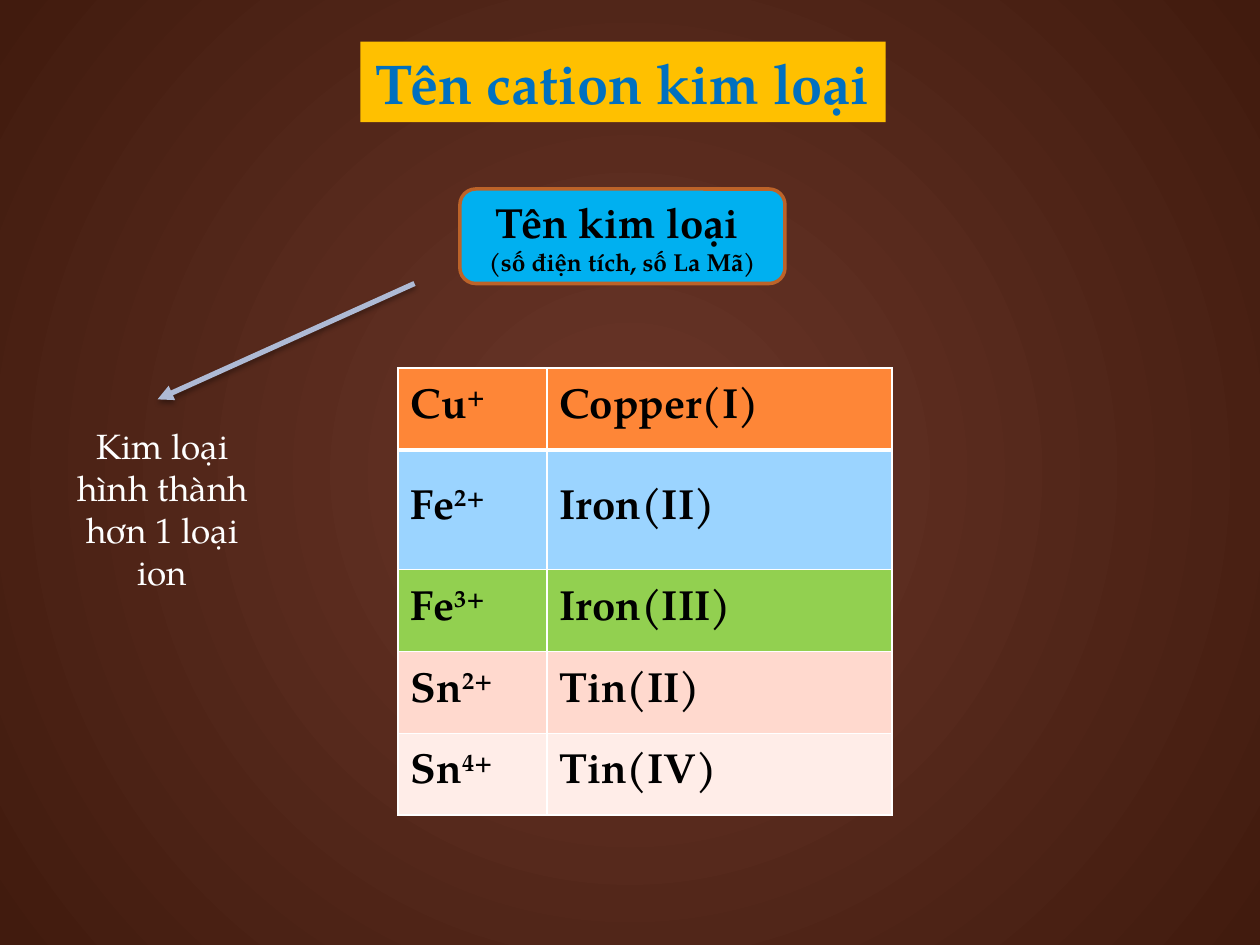
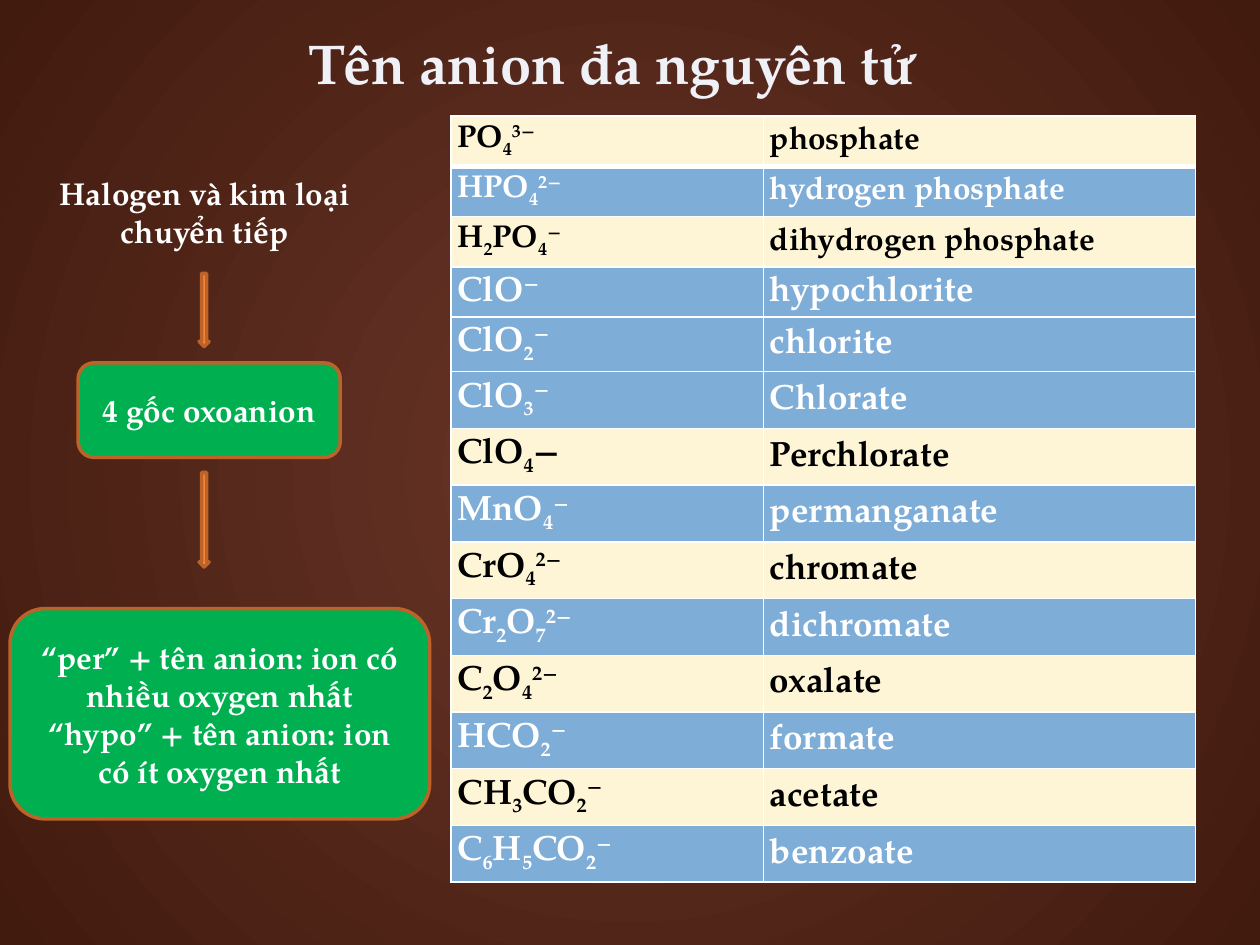
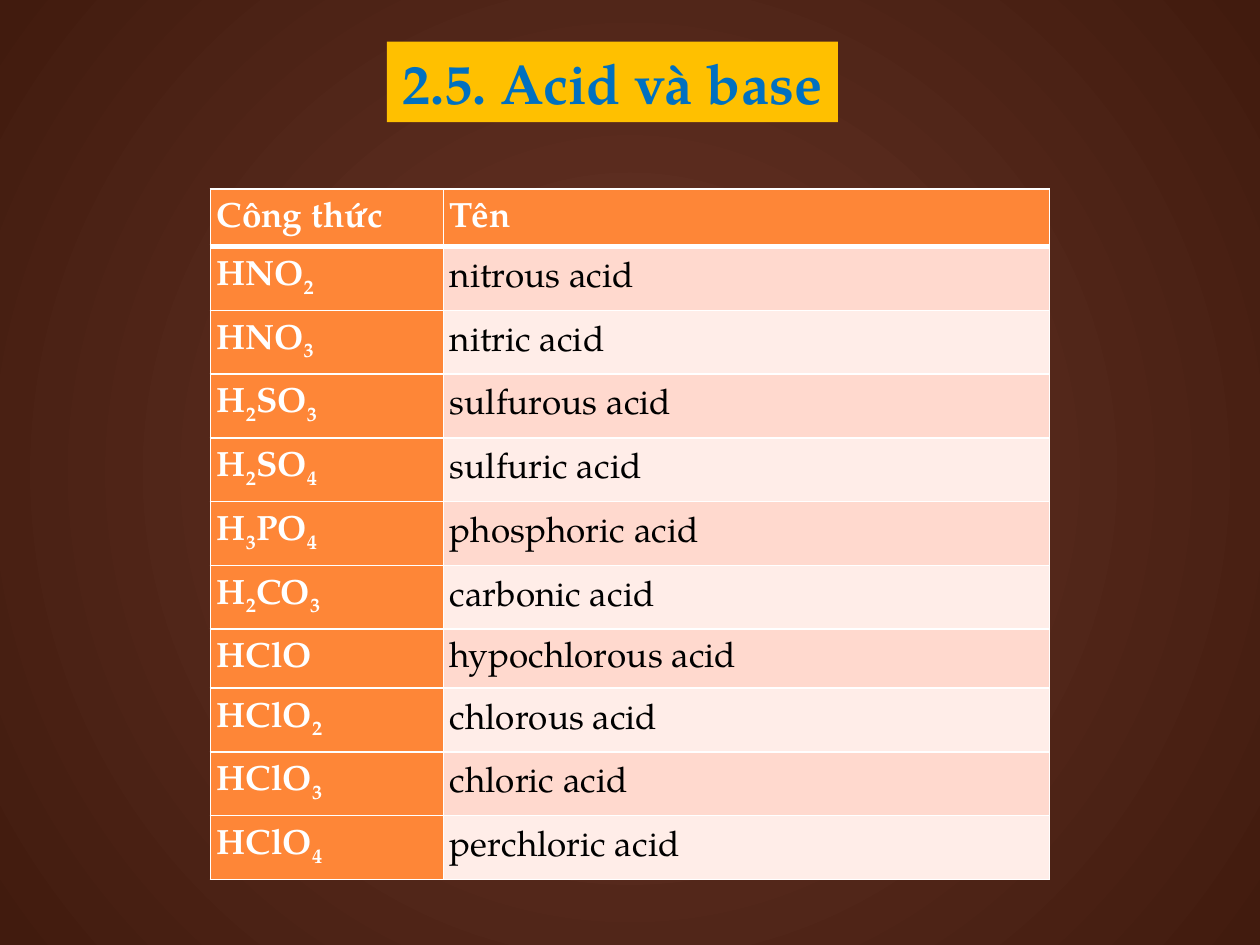
from lxml import etree
from pptx import Presentation
from pptx.dml.color import RGBColor
from pptx.enum import shapes, text
from pptx.oxml.ns import qn
from pptx.util import Inches, Pt

FACE = "TeX Gyre Pagella"
WHITE, BLACK = "FFFFFF", "000000"
GOLD, BLUE, SKY, GREEN = "FFC000", "0070C0", "00B0F0", "00B050"
ORANGE, RUST, PINK, BLUSH = "FE8637", "BC6329", "FFD9CE", "FFEDE8"
CREAM, STEEL, MIST = "FDF5D5", "7EADD8", "AEBAD5"
CORE, EDGE = "6A3629", "411B0E"
SHIFT = {"_": "-25000", "^": "30000"}

CATIONS = [
    ("Cu|^+", "Copper(I)", ORANGE),
    ("Fe|^2+", "Iron(II)", "9BD4FF"),
    ("Fe|^3+", "Iron(III)", "92D050"),
    ("Sn|^2+", "Tin(II)", PINK),
    ("Sn|^4+", "Tin(IV)", BLUSH),
]
ANIONS = [
    ("PO|_4|^3−", "phosphate", CREAM),
    ("HPO|_4|^2−", "hydrogen phosphate", STEEL),
    ("H|_2|PO|_4|^−", "dihydrogen phosphate", CREAM),
    ("ClO|^−", "hypochlorite", STEEL),
    ("ClO|_2|^−", "chlorite", STEEL),
    ("ClO|_3|^−", "Chlorate", STEEL),
    ("ClO|_4|−", "Perchlorate", CREAM),
    ("MnO|_4|^−", "permanganate", STEEL),
    ("CrO|_4|^2−", "chromate", CREAM),
    ("Cr|_2|O|_7|^2−", "dichromate", STEEL),
    ("C|_2|O|_4|^2−", "oxalate", CREAM),
    ("HCO|_2|^−", "formate", STEEL),
    ("CH|_3|CO|_2|^−", "acetate", CREAM),
    ("C|_6|H|_5|CO|_2|^−", "benzoate", STEEL),
]
ACIDS = [
    ("Công thức", "Tên"),
    ("HNO|_2", "nitrous acid"),
    ("HNO|_3", "nitric acid"),
    ("H|_2|SO|_3", "sulfurous acid"),
    ("H|_2|SO|_4", "sulfuric acid"),
    ("H|_3|PO|_4", "phosphoric acid"),
    ("H|_2|CO|_3", "carbonic acid"),
    ("HClO", "hypochlorous acid"),
    ("HClO|_2", "chlorous acid"),
    ("HClO|_3", "chloric acid"),
    ("HClO|_4", "perchloric acid"),
]


def paint(color, code):
    """Set a colour from a hex string."""
    color.rgb = RGBColor.from_string(code)


def flood(fill, code):
    """Make a fill solid in one colour."""
    fill.solid()
    paint(fill.fore_color, code)


def add(node, tag, **attrs):
    """Append an XML child with attributes."""
    return etree.SubElement(node, qn(tag), attrs)


def style(run, size, code, bold):
    """Format one run."""
    run.font.name, run.font.size, run.font.bold = FACE, Pt(size), bold
    paint(run.font.color, code)


def new_page(deck):
    """Add a blank slide with the radial brown backdrop."""
    page = deck.slides.add_slide(deck.slide_layouts[6])
    fill = page.background.fill
    fill.gradient()
    for stop, code, place in zip(fill.gradient_stops, (CORE, EDGE), (0, 1)):
        paint(stop.color, code)
        stop.position = place
    grad = page.element.find(".//" + qn("a:gradFill"))
    grad.remove(grad.find(qn("a:lin")))
    way = add(grad, "a:path", path="circle")
    add(way, "a:fillToRect", l="50000", t="50000", r="50000", b="50000")
    return page


def write(frame, lines, code, bold=True):
    """Fill a frame with centred lines given as (words, size)."""
    frame.text = "\n".join(words for words, _ in lines)
    for para, (_, size) in zip(frame.paragraphs, lines):
        para.alignment = text.PP_ALIGN.CENTER
        style(para.runs[0], size, code, bold)


def add_note(page, box, words, size, code=WHITE, bold=True):
    """Place a wrapped text box that grows with its text."""
    note = page.shapes.add_textbox(*map(Inches, box))
    frame = note.text_frame
    frame.word_wrap = True
    write(frame, [(words, size)], code, bold)
    frame.auto_size = text.MSO_AUTO_SIZE.SHAPE_TO_FIT_TEXT
    return note


def add_title(page, box, words, code=BLUE, back=GOLD):
    """Place the slide title, on a band if a back colour is given."""
    title = add_note(page, box, words, 32, code)
    title.text_frame.word_wrap = False
    title.text_frame.vertical_anchor = text.MSO_ANCHOR.MIDDLE
    if back:
        flood(title.fill, back)


def add_form(page, kind, box, fill):
    """Place a preset shape with the rust outline."""
    form = page.shapes.add_shape(kind, *map(Inches, box))
    form.shadow.inherit = False
    flood(form.fill, fill)
    paint(form.line.color, RUST)
    form.line.width = Pt(2)
    return form


def add_card(page, box, fill, lines, code=WHITE):
    """Place a rounded card with centred text."""
    card = add_form(page, shapes.MSO_SHAPE.ROUNDED_RECTANGLE, box, fill)
    card.text_frame.word_wrap = True
    card.text_frame.vertical_anchor = text.MSO_ANCHOR.MIDDLE
    write(card.text_frame, lines, code)


def add_arrow(page, start, end):
    """Draw a pale arrow with a soft shadow."""
    arrow = page.shapes.add_connector(
        shapes.MSO_CONNECTOR.STRAIGHT, *map(Inches, start + end))
    paint(arrow.line.color, MIST)
    arrow.line.width = Pt(3)
    add(arrow.line._get_or_add_ln(), "a:tailEnd", type="triangle")
    glow = add(add(arrow._element.spPr, "a:effectLst"), "a:outerShdw",
               blurRad=str(Pt(3.1)), dist=str(Pt(1.8)), dir="5400000", rotWithShape="0")
    add(add(glow, "a:srgbClr", val=BLACK), "a:alpha", val="35000")


def rule(cell, row):
    """Draw white cell borders, thick below the first row."""
    props = cell._tc.get_or_add_tcPr()
    thick = {"T": row == 1, "B": row == 0}
    for side in "LRTB":
        line = add(props, "a:ln" + side, w=str(Pt(3 if thick.get(side) else 1)))
        add(add(line, "a:solidFill"), "a:srgbClr", val=WHITE)


def fill_cell(cell, words, size, code, bold, tight):
    """Write a formula whose parts are split by bars, with _ and ^ marks."""
    cell.vertical_anchor = text.MSO_ANCHOR.MIDDLE
    para = cell.text_frame.paragraphs[0]
    if tight:
        cell.margin_left = cell.margin_right = Inches(0.05)
        para.line_spacing = 1.07
    for part in words.split("|"):
        run = para.add_run()
        run.text = part.lstrip("_^")
        style(run, size, code, bold)
        if part[0] in SHIFT:
            run.font._element.set("baseline", SHIFT[part[0]])


def add_grid(page, spot, cols, rows, cells, tight=True):
    """Place a table of (words, size, colour, bold, fill) cells."""
    size = sum(cols), sum(rows)
    grid = page.shapes.add_table(
        len(rows), len(cols), *map(Inches, spot + size)).table
    grid.first_row = grid.horz_banding = False
    for col, width in zip(grid.columns, cols):
        col.width = Inches(width)
    for row, high in zip(grid.rows, rows):
        row.height = Inches(high)
    for r, line in enumerate(cells):
        for c, (words, points, code, bold, fill) in enumerate(line):
            cell = grid.cell(r, c)
            rule(cell, r)
            flood(cell.fill, fill)
            fill_cell(cell, words, points, code, bold, tight)


def show_cations(page):
    """Build the metal cation slide."""
    add_title(page, (2.86, 0.33, 4.17, 0.64), "Tên cation kim loại")
    add_card(page, (3.65, 1.5, 2.58, 0.75), SKY,
             [("Tên kim loại ", 24), ("(số điện tích, số La Mã)", 14)], BLACK)
    cells = [[(words, 24, BLACK, True, fill) for words in pair]
             for *pair, fill in CATIONS]
    add_grid(page, (3.16, 2.92), (1.18, 2.74),
             (0.65, 0.95, 0.65, 0.65, 0.65), cells, tight=False)
    add_arrow(page, (3.29, 2.25), (1.25, 3.17))
    add_note(page, (0.5, 3.32, 1.58, 1.45),
             "Kim loại hình thành hơn 1 loại ion", 20, bold=False)


def show_anions(page):
    """Build the polyatomic anion slide."""
    cells = [[(words, 18 if r < 3 else 20, BLACK if fill == CREAM else WHITE,
               True, fill) for words in pair]
             for r, (*pair, fill) in enumerate(ANIONS)]
    add_grid(page, (3.58, 0.92), (2.48, 3.43),
             [0.38] * 3 + [0.4, 0.41] + [0.45] * 9, cells)
    add_title(page, (2.31, 0.17, 5.1, 0.64), "Tên anion đa nguyên tử",
              "EFF1F7", None)
    add_note(page, (0.25, 1.33, 2.75, 0.71), "Halogen và kim loại chuyển tiếp", 18)
    for top, high in ((2.17, 0.58), (3.75, 0.75)):
        add_form(page, shapes.MSO_SHAPE.DOWN_ARROW, (1.58, top, 0.08, high), ORANGE)
    add_card(page, (0.62, 2.88, 2.08, 0.75), GREEN, [("4 gốc oxoanion", 18)])
    add_card(page, (0.08, 4.83, 3.33, 1.67), GREEN,
             [("“per” + tên anion: ion có nhiều oxygen nhất", 18),
              ("“hypo” + tên anion: ion có ít oxygen nhất", 18)])


def show_acids(page):
    """Build the acid and base slide."""
    add_title(page, (3.07, 0.33, 3.58, 0.64), "2.5. Acid và base")
    cells = []
    for r, (sign, name) in enumerate(ACIDS):
        head = r == 0
        fill = ORANGE if head else PINK if r % 2 else BLUSH
        cells.append([(sign, 20, WHITE, True, ORANGE),
                      (name, 20, WHITE if head else BLACK, head, fill)])
    add_grid(page, (1.67, 1.5), (1.85, 4.81), [0.29] + [0.47] * 10, cells)


def main():
    """Build and save the deck."""
    deck = Presentation()
    deck.slide_width, deck.slide_height = Inches(10), Inches(7.5)
    for show in (show_cations, show_anions, show_acids):
        show(new_page(deck))
    deck.save("out.pptx")


if __name__ == "__main__":
    main()
